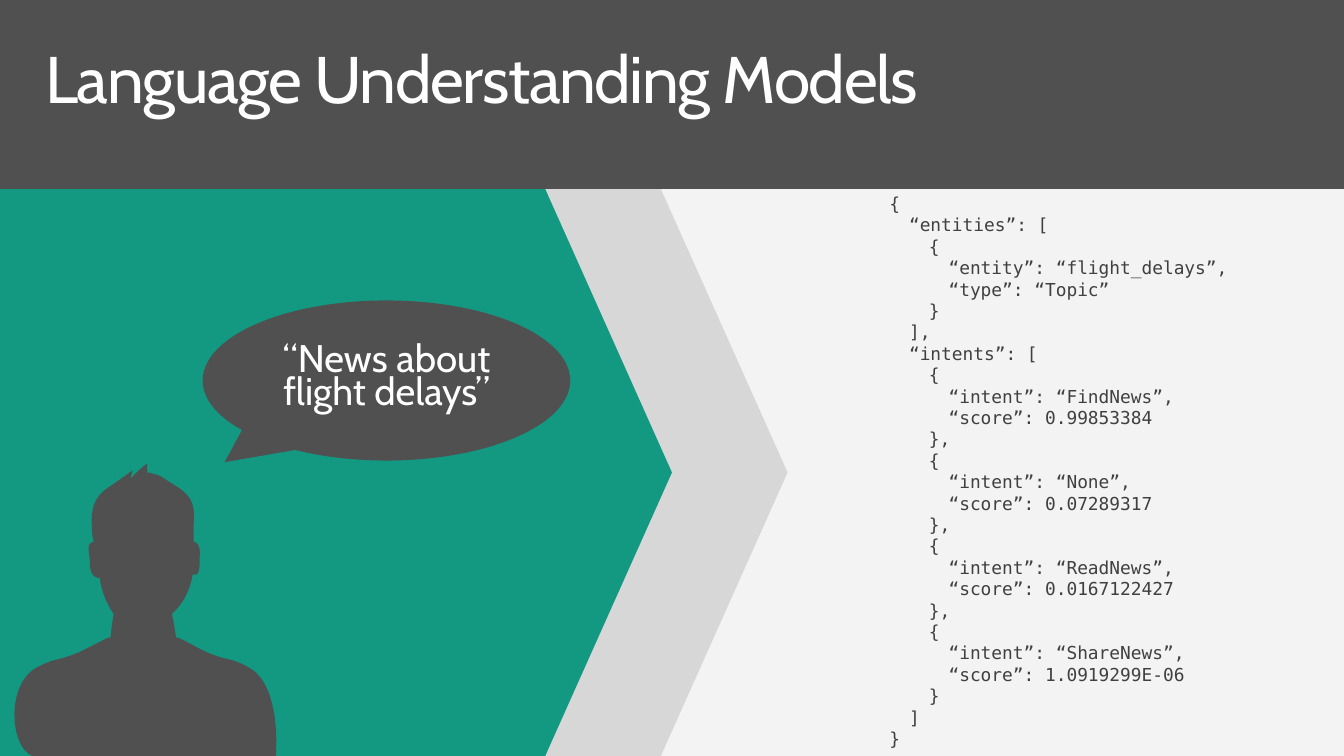
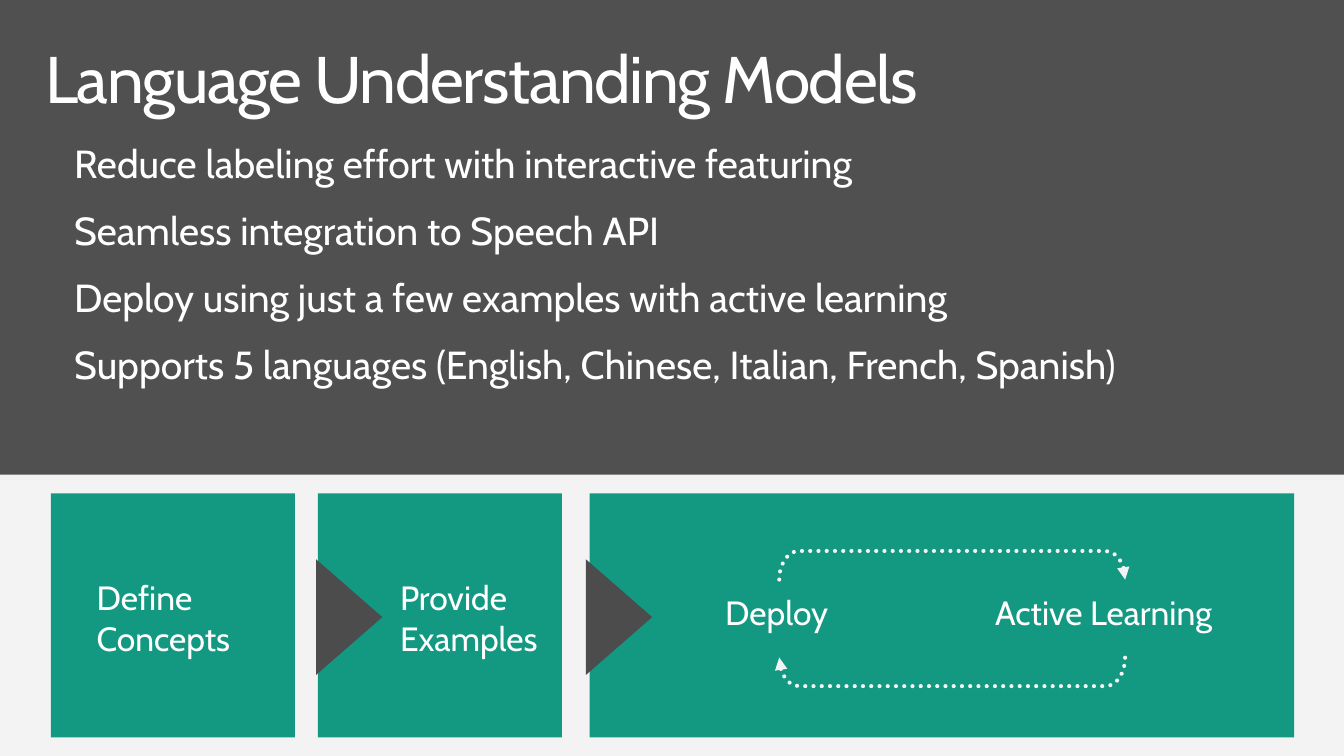
import pptx
import pptx.dml.color
import pptx.enum.dml
import pptx.enum.shapes
import pptx.enum.text
import pptx.oxml.ns
import pptx.util

RGBColor = pptx.dml.color.RGBColor
Shape = pptx.enum.shapes.MSO_SHAPE
Align = pptx.enum.text.PP_ALIGN
Anchor = pptx.enum.text.MSO_ANCHOR
Pt = pptx.util.Pt
Inches = pptx.util.Inches
qn = pptx.oxml.ns.qn

CHARCOAL = RGBColor(0x50, 0x50, 0x50)
ARROW_GREY = RGBColor(0x4C, 0x4C, 0x4C)
CODE_GREY = RGBColor(0x40, 0x40, 0x40)
SILVER = RGBColor(0xD7, 0xD7, 0xD7)
PALE = RGBColor(0xF3, 0xF3, 0xF3)
TEAL = RGBColor(0x13, 0x98, 0x82)
WHITE = RGBColor(0xFF, 0xFF, 0xFF)

deck = pptx.Presentation()
deck.slide_width = Inches(13.6)
deck.slide_height = Inches(7.65)
COLUMN = deck.slide_width / 100
ROW = deck.slide_height / 100


def place(shape, left, top, width, height, fill=None):
    """Put a shape on the 100 by 100 slide grid; a fill also clears line and shadow."""
    shape.left, shape.width = round(left * COLUMN), round(width * COLUMN)
    shape.top, shape.height = round(top * ROW), round(height * ROW)
    if fill is not None:
        shape.fill.solid()
        shape.fill.fore_color.rgb = fill
        shape.line.fill.background()
        shape.shadow.inherit = False
    return shape


def write(box, lines, size, font="Cabin", color=WHITE, align=Align.LEFT,
          anchor=Anchor.TOP, inset=(0.1, 0.05), line_spacing=1.0,
          gap=0, tracking=0, tab_size=None):
    """Fill a box with one paragraph per line; gap is the space between them."""
    frame = box.text_frame
    frame.word_wrap = True
    frame.auto_size = pptx.enum.text.MSO_AUTO_SIZE.NONE
    frame.vertical_anchor = anchor
    frame.margin_left = frame.margin_right = Inches(inset[0])
    frame.margin_top = frame.margin_bottom = Inches(inset[1])
    for number, line in enumerate(lines):
        para = frame.add_paragraph() if number else frame.paragraphs[0]
        para.alignment = align
        para.line_spacing = line_spacing
        para.space_before = Pt(gap if number else 0)
        para.space_after = Pt(0)
        properties = para._p.get_or_add_pPr()
        properties.set("marL", "0")
        properties.set("indent", "0")
        if tab_size:
            properties.set("defTabSz", str(Inches(tab_size)))
        properties.append(properties.makeelement(qn("a:buNone"), {}))
        span = para.add_run()
        span.text = line
        span.font.name = font
        span.font.size = Pt(size)
        span.font.color.rgb = color
        if tracking:
            span._r.get_or_add_rPr().set("spc", str(round(tracking * 100)))


# Shared background, titles and light bands
backdrop = deck.slide_master.background.fill
backdrop.solid()
backdrop.fore_color.rgb = CHARCOAL

TITLE_ONLY, TITLE_AND_BODY = 5, 1
pages = [deck.slides.add_slide(deck.slide_layouts[index])
         for index in (TITLE_ONLY, TITLE_AND_BODY)]
for page, band_top in zip(pages, (25, 62.8)):
    write(place(page.shapes.title, 2.2, 4.3, 85.1, 13.1),
          ["Language Understanding Models"], 48, anchor=Anchor.MIDDLE,
          inset=(0.16, 0.1), line_spacing=0.9, tracking=-1.02)
    place(page.shapes.add_shape(Shape.RECTANGLE, 0, 0, 0, 0),
          0, band_top, 100, 100 - band_top, PALE)
example_page, process_page = pages

# From a spoken request to its parsed result
shapes = example_page.shapes
CODE = """{
\t“entities”: [
\t\t{
\t\t\t“entity”: “flight_delays”,
\t\t\t“type”: “Topic”
\t\t}
\t],
\t“intents”: [
\t\t{
\t\t\t“intent”: “FindNews”,
\t\t\t“score”: 0.99853384
\t\t},
\t\t{
\t\t\t“intent”: “None”,
\t\t\t“score”: 0.07289317
\t\t},
\t\t{
\t\t\t“intent”: “ReadNews”,
\t\t\t“score”: 0.0167122427
\t\t},
\t\t{
\t\t\t“intent”: “ShareNews”,
\t\t\t“score”: 1.0919299E-06
\t\t}
\t]
}"""
code_box = place(shapes.add_textbox(0, 0, 0, 0), 64.7, 23.4, 35.3, 76.6)
write(code_box, CODE.split("\n"), 13, font="DejaVu Sans Mono", color=CODE_GREY,
      inset=(0.2, 0.16), line_spacing=Pt(15.6), tab_size=0.2)

POINT_DEPTH = 9.43
for kind, left, width, fill in ((Shape.CHEVRON, 36.55, 22.05, SILVER),
                                (Shape.PENTAGON, 0, 50, TEAL)):
    arrow = place(shapes.add_shape(kind, 0, 0, 0, 0), left, 25, width, 75, fill)
    arrow.adjustments[0] = POINT_DEPTH * COLUMN / min(arrow.width, arrow.height)

bubble = place(shapes.add_shape(Shape.OVAL_CALLOUT, 0, 0, 0, 0),
               15.08, 39.74, 27.35, 21.18, CHARCOAL)
bubble.adjustments[0], bubble.adjustments[1] = -0.44, 0.51
write(bubble, ["“News about flight delays”"], 28, align=Align.CENTER,
      anchor=Anchor.MIDDLE, inset=(0, 0), line_spacing=Pt(24))

# Speaker outline: each curve holds two control points and an end point
OUTLINE_UNIT = deck.slide_width / 1360
OUTLINE_START = (38, 766)
OUTLINE_CURVES = (
    (38, 766, 30, 693, 65, 675), (87, 664, 80, 671, 107, 660),
    (126, 651, 135, 645, 139, 645), (139, 641, 142, 621, 142, 621),
    (142, 621, 131, 607, 128, 585), (128, 585, 118, 586, 118, 570),
    (118, 557, 113, 551, 122, 548), (122, 548, 120, 542, 120, 535),
    (120, 524, 117, 506, 137, 493), (159, 478, 161, 476, 161, 476),
    (161, 476, 161, 476, 159, 485), (159, 485, 166, 476, 176, 469),
    (176, 469, 176, 469, 176, 473), (176, 475, 176, 480, 177, 482),
    (177, 482, 177, 482, 177, 478), (177, 478, 185, 480, 190, 482),
    (190, 482, 203, 491, 207, 493), (227, 506, 223, 520, 223, 531),
    (223, 541, 223, 548, 223, 548), (231, 551, 229, 557, 229, 570),
    (229, 586, 222, 581, 222, 581), (218, 608, 201, 621, 201, 621),
    (201, 621, 205, 641, 205, 645), (209, 645, 218, 651, 236, 660),
    (264, 671, 257, 664, 278, 675), (313, 693, 306, 766, 306, 766),
)
corners = [curve[4:] for curve in OUTLINE_CURVES]
builder = shapes.build_freeform(*OUTLINE_START, scale=OUTLINE_UNIT)
builder.add_line_segments(corners, close=True)
person = place(builder.convert_to_shape(), 2.79, 61.31, 19.71, 38.82, CHARCOAL)

# Bend the straight segments into curves
origin_x = min(x for x, y in corners)
origin_y = min(y for x, y in corners)
segments = list(person._element.iter(qn("a:lnTo")))
for segment, curve in zip(segments, OUTLINE_CURVES):
    bend = segment.makeelement(qn("a:cubicBezTo"), {})
    for x, y in zip(curve[::2], curve[1::2]):
        bend.append(bend.makeelement(
            qn("a:pt"), {"x": str(x - origin_x), "y": str(y - origin_y)}))
    segment.getparent().replace(segment, bend)

# Benefits and the three-step process
shapes = process_page.shapes
write(place(process_page.placeholders[1], 4.34, 17.8, 88.9, 35.2),
      ["Reduce labeling effort with interactive featuring",
       "Seamless integration to Speech API",
       "Deploy using just a few examples with active learning",
       "Supports 5 languages (English, Chinese, Italian, French, Spanish)"],
      28.55, inset=(0.16, 0.1), line_spacing=0.9, gap=18)

CARDS = ((3.79, 18.16, None, 6.47, ["Define", "Concepts"]),
         (23.65, 18.16, 21.68, 29.04, ["Provide", "Examples"]),
         (43.87, 52.43, 41.76, None, None))
for left, width, pointer_left, text_left, lines in CARDS:
    place(shapes.add_shape(Shape.RECTANGLE, 0, 0, 0, 0), left, 65.25, width, 32.3, TEAL)
    if pointer_left:
        pointer = place(shapes.add_shape(Shape.ISOSCELES_TRIANGLE, 0, 0, 0, 0),
                        pointer_left, 77.25, 8.6, 8.76, ARROW_GREY)
        pointer.rotation = 90
    if lines:
        write(place(shapes.add_textbox(0, 0, 0, 0), text_left, 75.7, 13, 12.3),
              lines, 24.5)

for label, left, width in (("Active Learning", 71.47, 21.3), ("Deploy", 49.49, 16.6)):
    write(place(shapes.add_textbox(0, 0, 0, 0), left, 77.25, width, 8.2), [label], 24.5,
          align=Align.CENTER, anchor=Anchor.MIDDLE, inset=(0.04, 0.04), line_spacing=0.9)

for top, turn, flipped, arrow_end in ((51.9, 90, False, "a:tailEnd"),
                                      (66, 270, True, "a:headEnd")):
    loop = place(shapes.add_shape(Shape.LEFT_BRACKET, 0, 0, 0, 0),
                 69.78, top, 2.13, 45.75)
    loop.adjustments[0] = 0.69
    loop.rotation = turn
    if flipped:
        loop._element.spPr.xfrm.set("flipV", "1")
    loop.shadow.inherit = False
    loop.fill.background()
    loop.line.color.rgb = PALE
    loop.line.width = Pt(3)
    loop.line.dash_style = pptx.enum.dml.MSO_LINE.ROUND_DOT
    stroke = loop.line._get_or_add_ln()
    stroke.set("cap", "rnd")
    stroke.append(stroke.makeelement(qn(arrow_end), {"type": "triangle"}))

deck.save("out.pptx")
